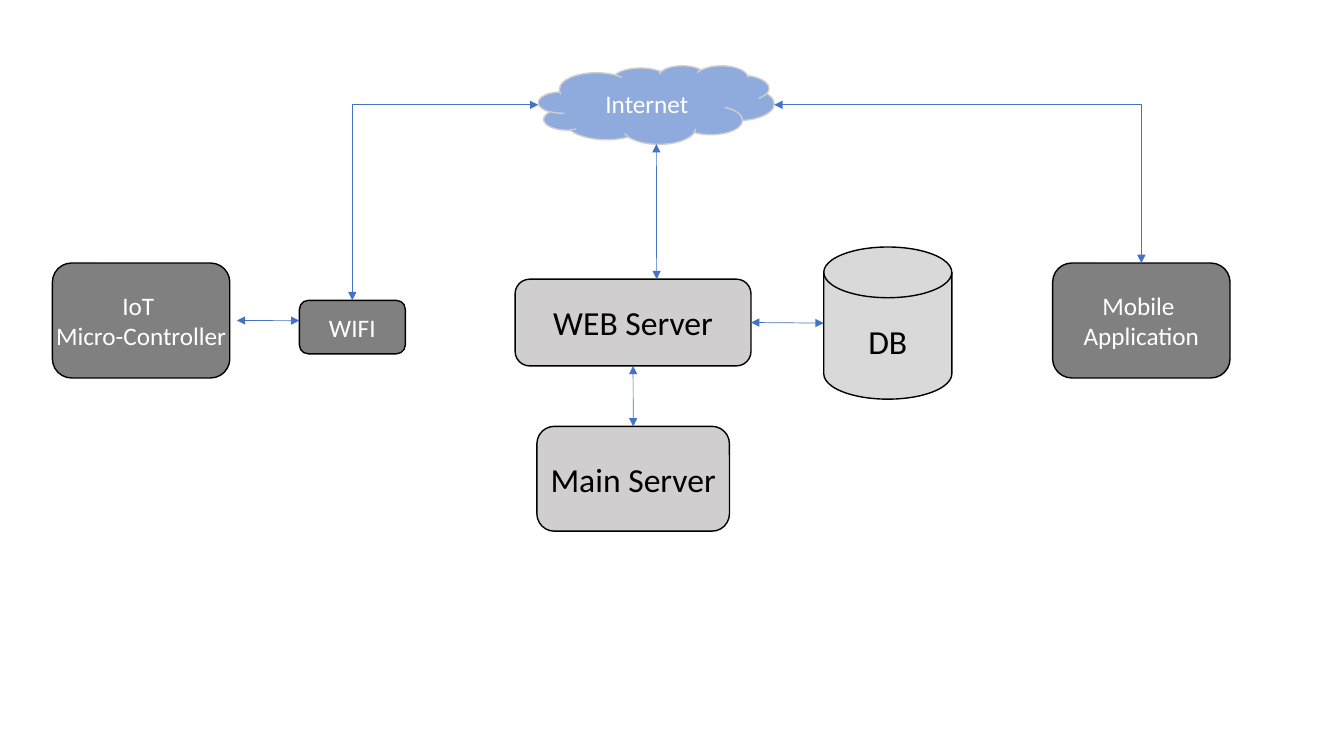
from pptx import Presentation
from pptx.dml.color import RGBColor
from pptx.enum.shapes import MSO_CONNECTOR, MSO_SHAPE
from pptx.enum.text import MSO_ANCHOR, PP_ALIGN
from pptx.oxml.ns import qn
from pptx.util import Inches, Pt
from lxml.etree import SubElement

COLORS = {"black": "000000", "white": "FFFFFF", "device": "808080", "server": "D0CECE",
          "storage": "D9D9D9", "cloud": "8FAADC", "wire": "4472C4"}
FRAME = {"word_wrap": False, "vertical_anchor": MSO_ANCHOR.MIDDLE, "margin_left": 0,
         "margin_right": 0, "margin_top": 0, "margin_bottom": 0}


def apply(target, formats):
    for name, value in formats.items():
        setattr(target, name, value)


def rgb(name):
    return RGBColor.from_string(COLORS[name])


class Diagram:
    """Draws nodes and wires on one slide, with lengths in percent of its size."""

    def __init__(self, deck):
        self.width, self.height = deck.slide_width, deck.slide_height
        self.shapes = deck.slides.add_slide(deck.slide_layouts[6]).shapes

    def across(self, percent):
        return round(self.width * percent / 100)

    def down(self, percent):
        return round(self.height * percent / 100)

    def node(self, lines, box, fill, ink="white", size=18, line="black",
             outline=MSO_SHAPE.ROUNDED_RECTANGLE, frame=None):
        left, top, width, height = box
        shape = self.shapes.add_shape(outline, self.across(left), self.down(top),
                                      self.across(width), self.down(height))
        shape.shadow.inherit = False
        shape.fill.solid()
        shape.fill.fore_color.rgb = rgb(fill)
        shape.line.color.rgb = rgb(line)
        shape.line.width = Pt(1)
        apply(shape.text_frame, {**FRAME, **(frame or {})})
        shape.text_frame.text = "\n".join(lines)
        for paragraph in shape.text_frame.paragraphs:
            paragraph.alignment = PP_ALIGN.CENTER
            apply(paragraph.runs[0].font, {"name": "Calibri", "size": Pt(size)})
            paragraph.runs[0].font.color.rgb = rgb(ink)
        return shape

    def wire(self, start, end, bent=False):
        points = [round(value) for shape, x, y in (start, end)
                  for value in (shape.left + shape.width * x, shape.top + shape.height * y)]
        connector = self.shapes.add_connector(
            MSO_CONNECTOR.ELBOW if bent else MSO_CONNECTOR.STRAIGHT, *points)
        connector.line.color.rgb = rgb("wire")
        connector.line.width = Pt(0.5)
        properties = connector.line._get_or_add_ln().getparent()
        if bent:
            properties.find(qn("a:prstGeom")).set("prst", "bentConnector2")
        for arrowhead in ("a:headEnd", "a:tailEnd"):
            SubElement(properties.find(qn("a:ln")), qn(arrowhead), type="triangle")
        SubElement(properties, qn("a:effectLst"))


deck = Presentation()
apply(deck, {"slide_width": Inches(13.33), "slide_height": Inches(7.5)})
diagram = Diagram(deck)

SERVER = {"fill": "server", "ink": "black", "size": 24}
controller = diagram.node(["IoT ", "Micro-Controller"], (3.9, 34.8, 13.2, 15.2), "device")
wifi = diagram.node(["WIFI"], (22.28, 39.73, 7.88, 7.07), "device")
internet = diagram.node(["Internet"], (40.06, 8.67, 17.55, 10.4), "cloud", line="server",
                        outline=MSO_SHAPE.CLOUD, frame={"margin_right": Inches(0.02)})
web_server = diagram.node(["WEB Server"], (38.33, 36.93, 17.55, 11.47), **SERVER)
main_server = diagram.node(["Main Server"], (39.95, 56.4, 14.33, 13.87), **SERVER)
database = diagram.node(["DB"], (61.29, 32.67, 9.53, 20.13), "storage", "black", 24,
                        outline=MSO_SHAPE.FLOWCHART_MAGNETIC_DISK,
                        frame={"margin_top": Inches(0.1)})
mobile = diagram.node(["Mobile ", "Application"], (78.32, 34.8, 13.2, 15.2), "device")

diagram.wire((internet, 0, 0.5), (wifi, 0.5, 0), bent=True)
diagram.wire((internet, 1, 0.5), (mobile, 0.5, 0), bent=True)
diagram.wire((controller, 1.04, 0.5), (wifi, 0, 0.38))
diagram.wire((web_server, 0.5, 1), (main_server, 0.5, 0))
diagram.wire((web_server, 1, 0.5), (database, 0, 0.5))
diagram.wire((internet, 0.5, 1), (web_server, 0.6, 0))

deck.save("out.pptx")
